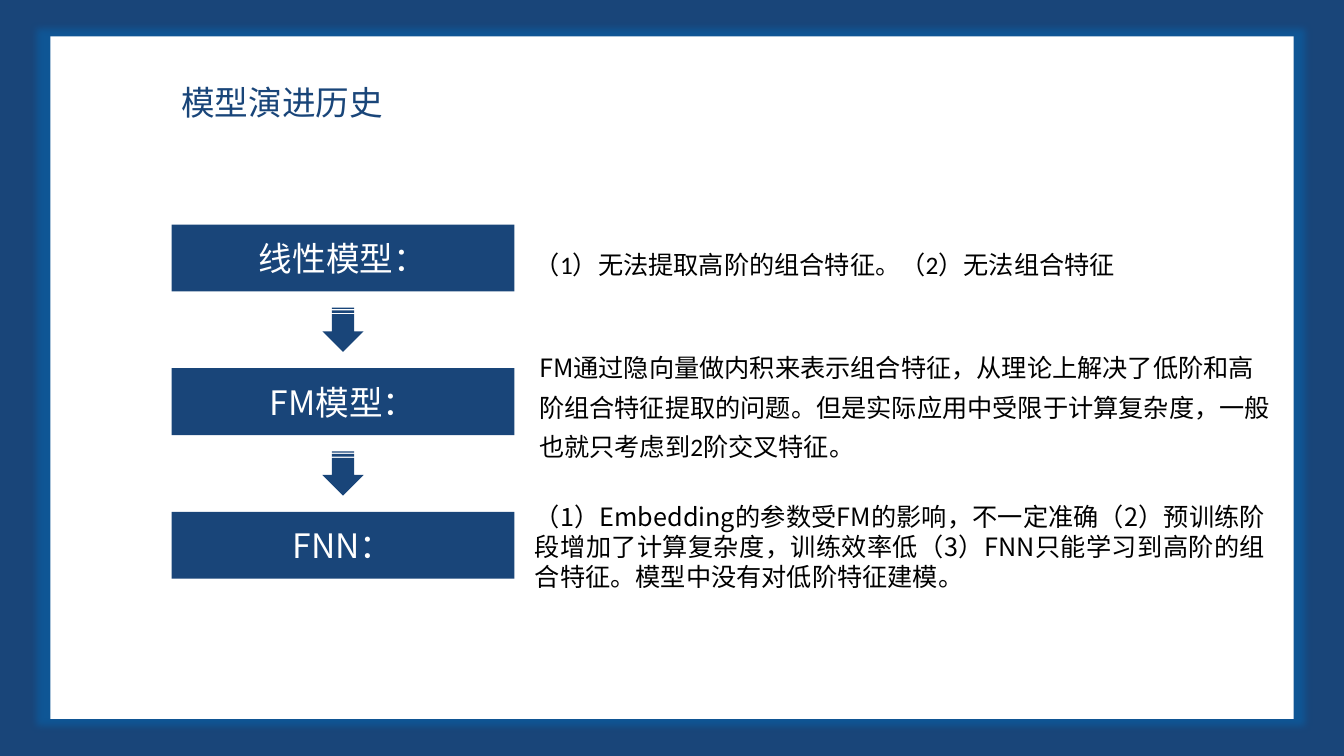
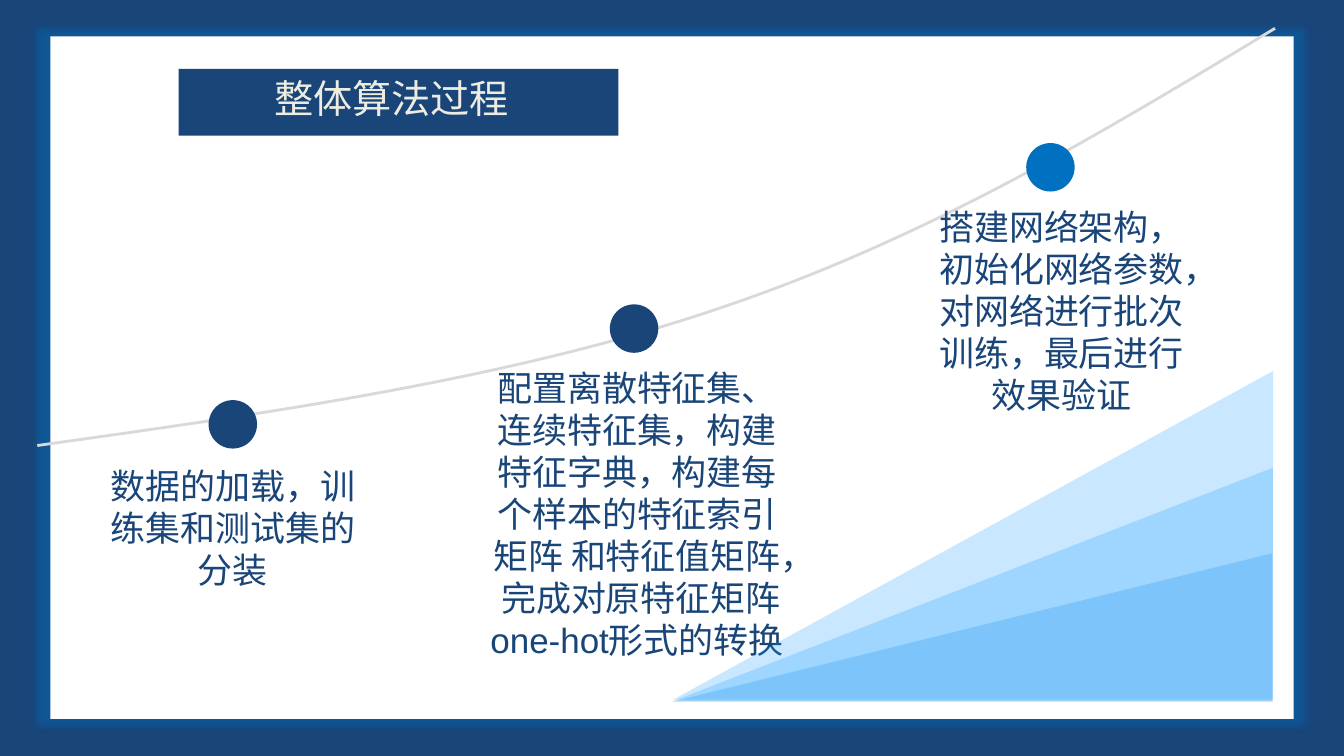
from lxml import etree
from pptx import Presentation
from pptx.dml.color import RGBColor
from pptx.enum.shapes import MSO_SHAPE
from pptx.enum.text import PP_ALIGN
from pptx.oxml.ns import qn
from pptx.util import Pt

RECT, OVAL = MSO_SHAPE.RECTANGLE, MSO_SHAPE.OVAL
WEDGE, ARROW = MSO_SHAPE.RIGHT_TRIANGLE, MSO_SHAPE.STRIPED_RIGHT_ARROW
LEFT, MID, JUST = PP_ALIGN.LEFT, PP_ALIGN.CENTER, PP_ALIGN.JUSTIFY

NAVY = RGBColor(0x19, 0x45, 0x79)
BLUE = RGBColor(0x00, 0x70, 0xC0)
SKY = RGBColor(0x0D, 0x97, 0xFF)
AZURE = RGBColor(0x00, 0x86, 0xEA)
GREY = RGBColor(0xD9, 0xD9, 0xD9)
CREAM = RGBColor(0xEE, 0xEC, 0xE1)
WHITE = RGBColor(0xFF, 0xFF, 0xFF)
BLACK = RGBColor(0x00, 0x00, 0x00)
NOTO, CALIBRI, ARIAL = "Noto Sans CJK SC", "Calibri", "Arial"

MODELS = [
    ("线性模型：", (525 - 150, 167.8, 445, 33), LEFT, 1.3,
     [("（1）无法提取高阶的组合特征。（2）无法组合特征", CALIBRI)]),
    ("FM模型：", (378, 241.9, 538.6, 90), LEFT, 1.3,
     [("FM", NOTO),
      ("通过隐向量做内积来表示组合特征，从理论上解决了低阶和高阶组合特征提取的问题。"
       "但是实际应用中受限于计算复杂度，一般也就只考虑到2阶交叉特征。", CALIBRI)]),
    ("FNN：", (375, 354.2, 535.7, 94.3), JUST, None,
     [("（1）Embedding的参数受FM的影响，不一定准确（2）预训练阶段增加了计算复杂度，"
       "训练效率低（3）FNN只能学习到高阶的组合特征。模型中没有对低阶特征建模。", NOTO)]),
]
STEPS = [
    ((149, 285.8), NAVY, (69.8, 328.3, 193, 98),
     "数据的加载，训练集和测试集的分装"),
    ((435.6, 217.4), NAVY, (337.7, 258.5, 234.7, 220),
     "配置离散特征集、连续特征集，构建特征字典，构建每个样本的特征索引矩阵 "
     "和特征值矩阵， 完成对原特征矩阵 one-hot形式的转换"),
    ((733, 102.2), BLUE, (661.7, 143.3, 193, 158),
     "搭建网络架构，初始化网络参数，对网络进行批次训练，最后进行效果验证"),
]
WEDGES = [((480.2, 334.1, 429.1, 167), SKY), ((481, 265, 428.4, 234.7), SKY),
          ((481, 395.3, 427.7, 105.8), AZURE)]
CURVE = [((26.64, 318.2), (197.3, 294.5), (367.9, 270), (515.5, 219.6)),
         ((515.5, 219.6), (663.1, 169.9), (787, 95), (910.8, 20.2))]


def pts(box):
    """Turn numbers into point lengths."""
    return [Pt(n) for n in box]


def solid(slide, kind, box, color):
    """Add a plain shape without line or shadow."""
    shape = slide.shapes.add_shape(kind, *pts(box))
    shape.shadow.inherit = False
    shape.fill.solid()
    shape.fill.fore_color.rgb = color
    shape.line.fill.background()
    return shape


def write(slide, box, runs, size, color, align=LEFT, gap=None):
    """Add one wrapped paragraph made of (text, font) runs."""
    frame = slide.shapes.add_textbox(*pts(box)).text_frame
    frame.word_wrap = True
    para = frame.paragraphs[0]
    para.alignment = align
    if gap:
        para.line_spacing = gap
    para.font.size = Pt(size)
    para.font.color.rgb = color
    para.font.name = runs[-1][1]
    props = para.font._element
    etree.SubElement(props, qn("a:ea"), typeface=NOTO)
    for text, font in runs:
        run = para.add_run()
        run.text = text
        if font != runs[-1][1]:
            run.font.name = font


def base(prs):
    """Add a slide with the navy border and the glowing white panel."""
    slide = prs.slides.add_slide(prs.slide_layouts[6])
    slide.background.fill.solid()
    slide.background.fill.fore_color.rgb = NAVY
    panel = solid(slide, RECT, (36, 26, 888, 487.6), WHITE)
    glow = etree.SubElement(
        panel.element.spPr.find(qn("a:effectLst")), qn("a:outerShdw"),
        blurRad=str(Pt(5)), sx="102000", sy="102000", algn="ctr", rotWithShape="0")
    tint = etree.SubElement(glow, qn("a:srgbClr"), val=str(BLUE))
    etree.SubElement(tint, qn("a:alpha"), val="40000")
    return slide


def model(slide, box, name, note, align, gap, runs):
    """Draw a model's bar with its name and the note beside it."""
    x, y, w, h = box
    solid(slide, RECT, box, NAVY)
    write(slide, (x + 26, y + 6, w - 52, 36), [(name, NOTO)], 24, WHITE, MID)
    write(slide, note, runs, 18, BLACK, align, gap)


def arrow(slide, x, y):
    """Draw a striped arrow that points down, centred on x."""
    shape = solid(slide, ARROW, (x - 15.8, y, 31.6, 29.6), NAVY)
    shape.rotation = 90
    shape.adjustments[0] = 0.54
    shape.adjustments[1] = 0.5


def history(prs):
    """Build the slide on how the models evolved."""
    slide = base(prs)
    write(slide, (122.4, 54.7, 207.4, 36), [("模型演进历史", NOTO)], 24, NAVY)
    x, y, w, h, step = 122.6, 160.4, 244.8, 47.8, 102.6
    for i, (name, note, *rest) in enumerate(MODELS):
        top = y + i * step
        model(slide, (x, top, w, h), name, note, *rest)
        if i < len(MODELS) - 1:
            arrow(slide, x + w / 2, top + h + 12.6)


def bend(a, b, c, d, t):
    """Return the point at t on a cubic curve."""
    s = 1 - t
    return tuple(s**3 * p + 3 * s * s * t * q + 3 * s * t * t * r + t**3 * u
                 for p, q, r, u in zip(a, b, c, d))


def curve(slide, count=40):
    """Draw the rising grey line."""
    dots = [bend(*part, i / count) for part in CURVE for i in range(1, count + 1)]
    pen = slide.shapes.build_freeform(*pts(CURVE[0][0]))
    pen.add_line_segments([pts(dot) for dot in dots], close=False)
    line = pen.convert_to_shape()
    line.shadow.inherit = False
    line.fill.background()
    line.line.color.rgb = GREY
    line.line.width = Pt(2)


def wedge(slide, box, color):
    """Draw a see-through triangle that rises to the right."""
    shape = solid(slide, WEDGE, box, color)
    shape.element.spPr.find(qn("a:xfrm")).set("flipH", "1")
    tint = shape.element.spPr.find(qn("a:solidFill"))[0]
    etree.SubElement(tint, qn("a:alpha"), val="22000")


def process(prs):
    """Build the slide on the whole algorithm."""
    slide = base(prs)
    curve(slide)
    for spot, color, box, text in STEPS:
        write(slide, box, [(text, ARIAL)], 25, NAVY, MID)
        solid(slide, OVAL, (*spot, 34.6, 34.6), color)
    for box, color in WEDGES:
        wedge(slide, box, color)
    solid(slide, RECT, (127.6, 49.2, 314.2, 47.8), NAVY)
    write(slide, (117.4, 49.7, 324.7, 41), [("整体算法过程", NOTO)], 28, CREAM, MID)


def main():
    """Build and save the deck."""
    prs = Presentation()
    prs.slide_width, prs.slide_height = Pt(960), Pt(540)
    history(prs)
    process(prs)
    prs.save("out.pptx")


if __name__ == "__main__":
    main()
